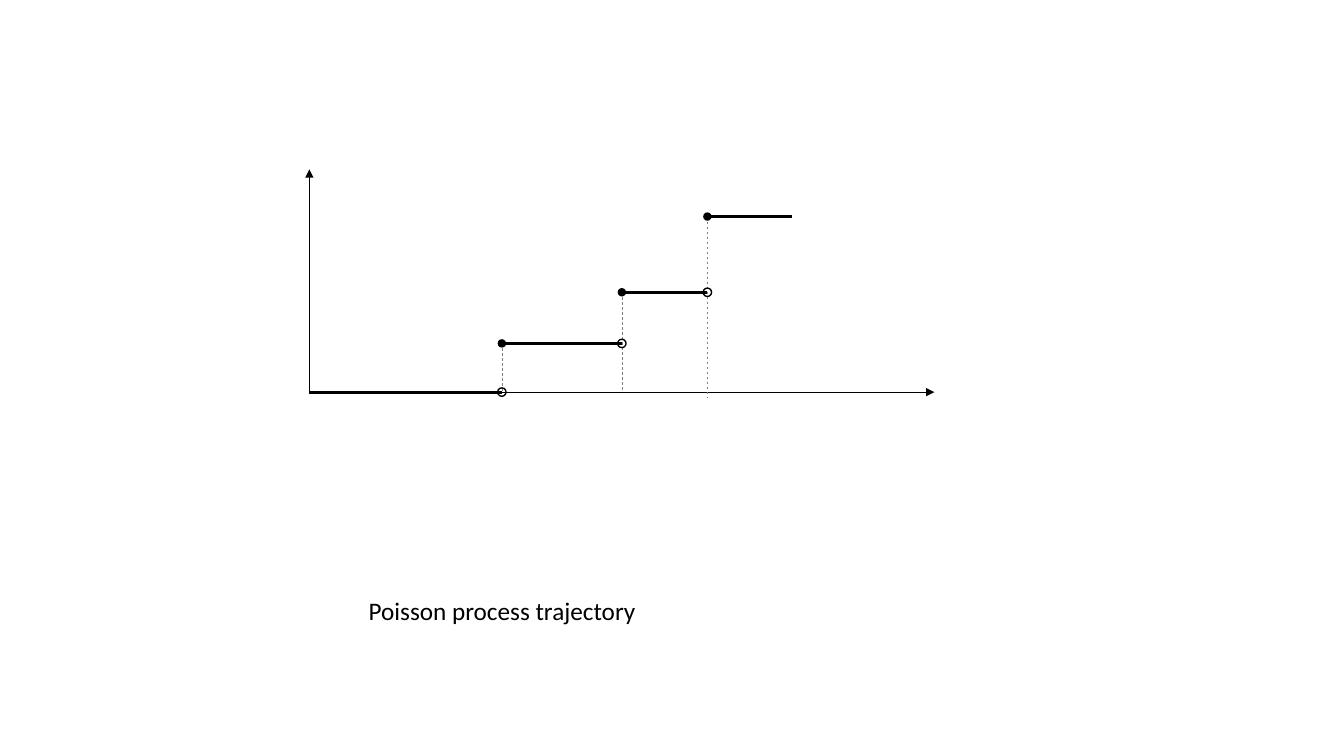
from dataclasses import dataclass

from lxml.etree import SubElement
from pptx import Presentation
from pptx.dml.color import RGBColor
from pptx.enum.dml import MSO_LINE_DASH_STYLE as Dash
from pptx.enum.shapes import MSO_CONNECTOR as Connector, MSO_SHAPE as Shape
from pptx.enum.text import MSO_AUTO_SIZE as AutoSize
from pptx.oxml.ns import qn
from pptx.util import Pt


@dataclass(frozen=True)
class Theme:
    ink: RGBColor = RGBColor(0, 0, 0)
    guide: RGBColor = RGBColor(0x80, 0x80, 0x80)
    font: str = "Calibri"
    caption_size: float = 18
    thin: float = 0.5
    outline: float = 1
    thick: float = 2.25
    dot: float = 6


THEME = Theme()
JUMP_TIMES = [221, 358.5, 444.2, 505.3, 566]
LEVELS = [280.1, 245.3, 208.8, 154.7]
GUIDE_SPANS = [(248.4, 280.1), (208.8, 280.1), (154.7, 284.4)]
AXIS_TOP = 121
AXIS_RIGHT = 667.4


def add_line(shapes, start, end, color, width):
    points = [Pt(value) for value in (*start, *end)]
    connector = shapes.add_connector(Connector.STRAIGHT, *points)
    connector.line.color.rgb = color
    connector.line.width = Pt(width)
    SubElement(connector._element.spPr, qn("a:effectLst"))
    return connector


def add_axis(shapes, start, end):
    axis = add_line(shapes, start, end, THEME.ink, THEME.thin)
    SubElement(axis.line._get_or_add_ln(), qn("a:tailEnd"), type="triangle")


def add_guide(shapes, time, top, bottom):
    guide = add_line(shapes, (time, top), (time, bottom), THEME.guide, THEME.thin)
    guide.line.dash_style = Dash.DASH


def add_dot(shapes, time, level, filled):
    radius = THEME.dot / 2
    dot = shapes.add_shape(
        Shape.OVAL, Pt(time - radius), Pt(level - radius), Pt(THEME.dot), Pt(THEME.dot)
    )
    dot.shadow.inherit = False
    if filled:
        dot.fill.solid()
        dot.fill.fore_color.rgb = THEME.ink
        dot.line.fill.background()
    else:
        dot.fill.background()
        dot.line.color.rgb = THEME.ink
        dot.line.width = Pt(THEME.outline)


def add_trajectory(slide):
    shapes = slide.shapes.add_group_shape().shapes
    origin = (JUMP_TIMES[0], LEVELS[0])
    add_axis(shapes, origin, (JUMP_TIMES[0], AXIS_TOP))
    add_axis(shapes, origin, (AXIS_RIGHT, LEVELS[0]))
    for start, end, level in zip(JUMP_TIMES, JUMP_TIMES[1:], LEVELS):
        add_line(shapes, (start, level), (end, level), THEME.ink, THEME.thick)
    jumps = JUMP_TIMES[1:-1]
    for time, span in zip(jumps, GUIDE_SPANS):
        add_guide(shapes, time, *span)
    for time, before, after in zip(jumps, LEVELS, LEVELS[1:]):
        add_dot(shapes, time, after, filled=True)
        add_dot(shapes, time, before, filled=False)


def add_caption(slide, text):
    box = slide.shapes.add_textbox(Pt(256.3), Pt(421.9), Pt(206.6), Pt(29))
    frame = box.text_frame
    frame.word_wrap = False
    frame.auto_size = AutoSize.SHAPE_TO_FIT_TEXT
    paragraph = frame.paragraphs[0]
    paragraph.text = text
    paragraph.font.name = THEME.font
    paragraph.font.size = Pt(THEME.caption_size)
    paragraph.font.color.rgb = THEME.ink


def main():
    presentation = Presentation()
    presentation.slide_width = Pt(960)
    presentation.slide_height = Pt(540)
    slide = presentation.slides.add_slide(presentation.slide_layouts[6])
    add_trajectory(slide)
    add_caption(slide, "Poisson process trajectory")
    presentation.save("out.pptx")


if __name__ == "__main__":
    main()
